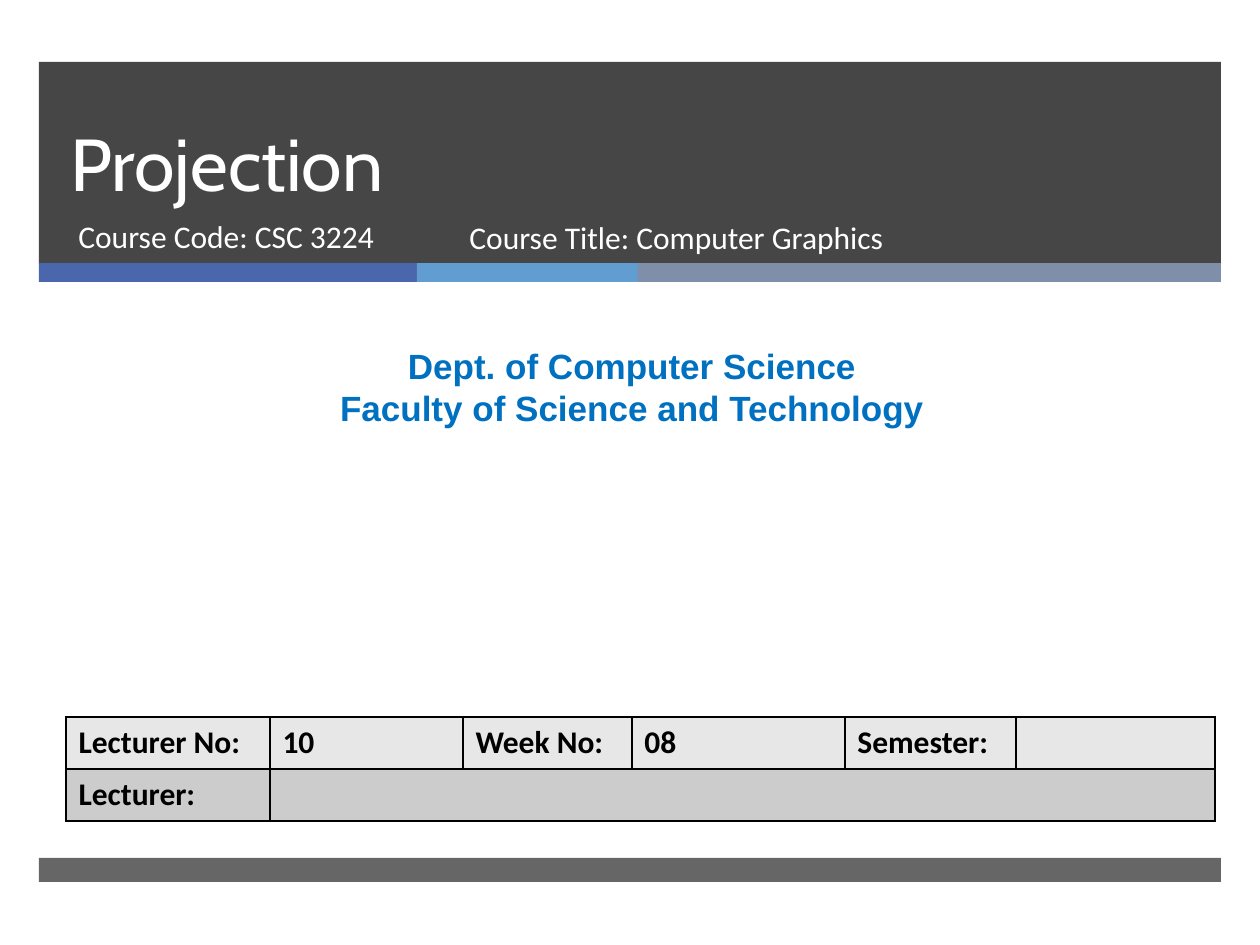
from lxml import etree
from pptx import Presentation
from pptx import util as u
from pptx.dml.color import RGBColor
from pptx.enum import shapes, text
from pptx.oxml.ns import qn

PX = 914400 / 126
WHITE = RGBColor(0xFF, 0xFF, 0xFF)
BLACK = RGBColor(0, 0, 0)
DARK = RGBColor(0x26, 0x26, 0x26)
INDIGO = RGBColor(0x4A, 0x66, 0xAC)
SKY = RGBColor(0x62, 0x9D, 0xD1)
SLATE = RGBColor(0x7F, 0x8F, 0xA9)
BLUE = RGBColor(0x00, 0x70, 0xC0)
ROW_FILLS = [RGBColor(0xE7, 0xE7, 0xE7), RGBColor(0xCC, 0xCC, 0xCC)]
LEFT, WIDTH = 39, 1182


def px(n):
    """Turn pixels into EMU."""
    return u.Emu(round(n * PX))


def box(*lengths):
    """Turn left, top, width and height into EMU."""
    return [px(n) for n in lengths]


def write(tf, lines, size=18, font="Calibri", color=WHITE, bold=False,
          align=None, spacing=None):
    """Fill a text frame with one formatted paragraph per line."""
    for i, line in enumerate(lines.split("\n")):
        p = tf.add_paragraph() if i else tf.paragraphs[0]
        p.alignment = align
        p.line_spacing = spacing
        r = p.add_run()
        r.text = line
        r.font.size = u.Pt(size)
        r.font.name = font
        r.font.bold = bold
        r.font.color.rgb = color


def add_label(s, lines, place, anchor=text.MSO_ANCHOR.TOP, **style):
    """Add a wrapping text box."""
    tf = s.shapes.add_textbox(*box(*place)).text_frame
    tf.word_wrap = True
    tf.vertical_anchor = anchor
    write(tf, lines, **style)


def add_bar(s, place, color, opacity=100):
    """Add a plain rectangle, see-through below full opacity."""
    sp = s.shapes.add_shape(shapes.MSO_SHAPE.RECTANGLE, *box(*place))
    sp.shadow.inherit = False
    sp.fill.solid()
    sp.fill.fore_color.rgb = color
    sp.line.fill.background()
    if opacity < 100:
        clr = sp.fill._xPr.find(qn("a:solidFill"))[0]
        etree.SubElement(clr, qn("a:alpha"), val=str(opacity * 1000))


def add_borders(cell):
    """Draw a thin black line on each side of a cell."""
    props = cell._tc.get_or_add_tcPr()
    for i, side in enumerate(("lnL", "lnR", "lnT", "lnB")):
        ln = etree.Element(qn("a:" + side), w=str(u.Pt(1)))
        fill = etree.SubElement(ln, qn("a:solidFill"))
        etree.SubElement(fill, qn("a:srgbClr"), val=str(BLACK))
        props.insert(i, ln)


def add_lecture_table(s, rows, widths, place, row_height):
    """Add the lecture table with its last row merged after the label."""
    left, top = place
    table = s.shapes.add_table(len(rows), len(widths), *box(
        left, top, sum(widths), row_height * len(rows))).table
    for col, width in zip(table.columns, widths):
        col.width = px(width)
    for i, row in enumerate(rows):
        table.rows[i].height = px(row_height)
        for cell, value in zip(table.rows[i].cells, row):
            cell.fill.solid()
            cell.fill.fore_color.rgb = ROW_FILLS[i]
            add_borders(cell)
            if value:
                write(cell.text_frame, value, color=BLACK, bold=True)
    last = len(rows) - 1
    table.cell(last, 1).merge(table.cell(last, len(widths) - 1))


def main():
    """Build the title slide."""
    prs = Presentation()
    prs.slide_width, prs.slide_height = px(1260), px(945)
    s = prs.slides.add_slide(prs.slide_layouts[6])

    add_bar(s, (LEFT, 62, WIDTH, 202), DARK, opacity=85)
    x = LEFT
    for width, color in ((378, INDIGO), (221, SKY), (583, SLATE)):
        add_bar(s, (x, 263, width, 19), color)
        x += width
    add_bar(s, (LEFT, 858, WIDTH, 24), DARK, opacity=70)

    add_label(s, "Projection", (58, 62, 1076, 150), size=42, font="Cabin",
              anchor=text.MSO_ANCHOR.BOTTOM, spacing=u.Pt(46))
    add_label(s, "Course Code: CSC 3224", (66, 211, 384, 67))
    add_label(s, "Course Title: Computer Graphics", (457, 212, 573, 67))
    add_label(s, "Dept. of Computer Science\nFaculty of Science and Technology",
              (10, 338, 1244, 97), size=20, font="Arial", color=BLUE,
              bold=True, align=text.PP_ALIGN.CENTER)

    rows = [["Lecturer No:", "10", "Week No:", "08", "Semester:", ""],
            ["Lecturer:", "", "", "", "", ""]]
    add_lecture_table(s, rows, [204, 193, 169, 213, 171, 199], (66, 717), 52)
    prs.save("out.pptx")


if __name__ == "__main__":
    main()
